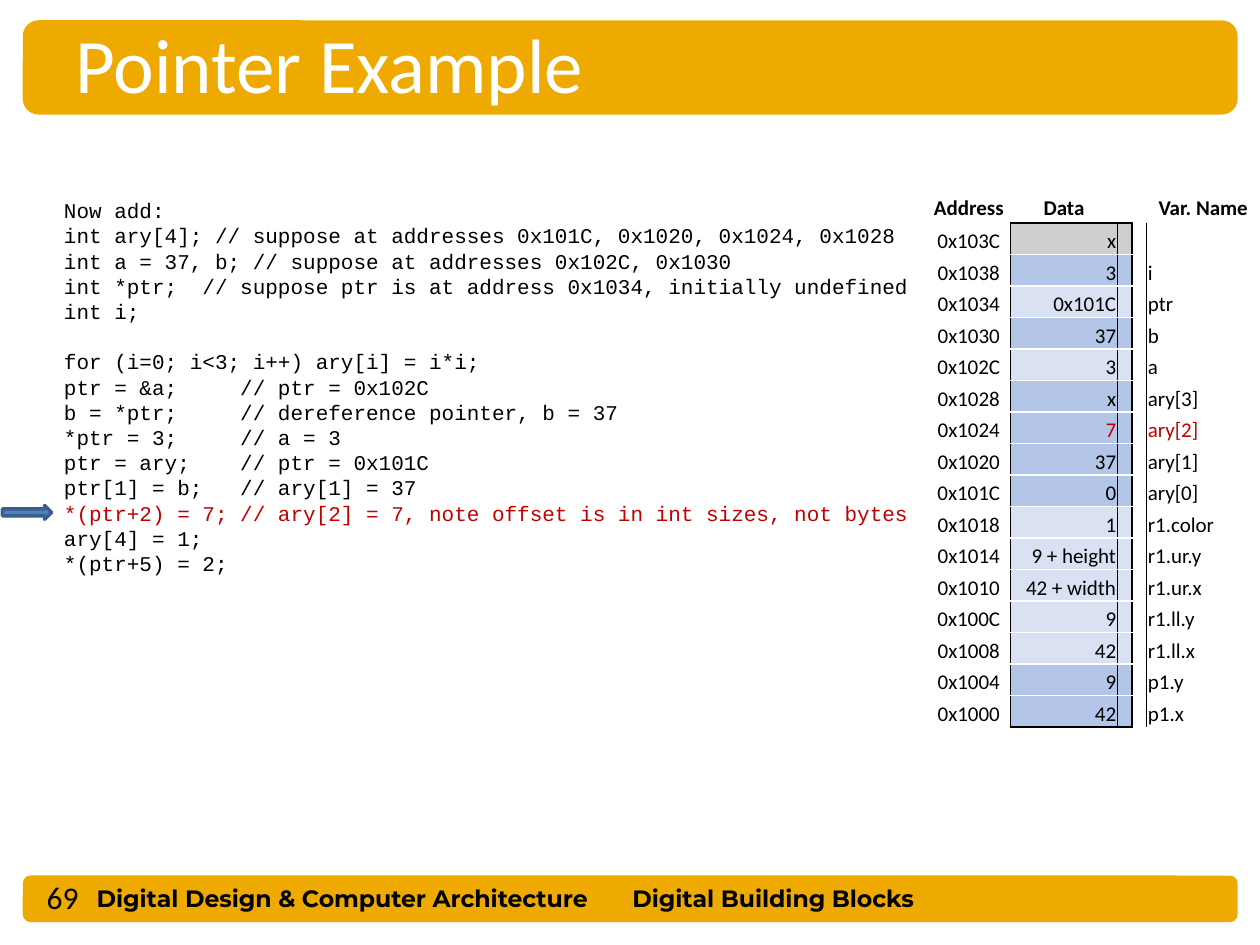
"""Builds the pointer example slide with its code listing and memory map."""
from dataclasses import dataclass

from lxml import etree
from pptx import Presentation
from pptx.dml.color import RGBColor
from pptx.enum.shapes import MSO_SHAPE
from pptx.enum.text import MSO_ANCHOR, PP_ALIGN
from pptx.oxml.ns import qn
from pptx.util import Cm, Pt

ROUNDED = MSO_SHAPE.ROUNDED_RECTANGLE
ARROW = MSO_SHAPE.RIGHT_ARROW
MIDDLE, BOTTOM = MSO_ANCHOR.MIDDLE, MSO_ANCHOR.BOTTOM
LEFT, CENTER, RIGHT = PP_ALIGN.LEFT, PP_ALIGN.CENTER, PP_ALIGN.RIGHT

BLACK, WHITE, RED, GOLD = "000000", "FFFFFF", "C00000", "EEAA00"
GREY, BLUE, PALE = "D0CECE", "B4C6E7", "D9E1F2"
NO_STYLE = "{2D5ABB26-0587-4C30-8999-92F81FD0307C}"
LINE_PITCH = Pt(14.4)
TOP_ADDRESS, WORD_BYTES = 0x103C, 4
COLUMN_WIDTHS = (1.68, 2.16, 0.29, 0.29, 2.29)
ROW_HEIGHT = 0.635


@dataclass(frozen=True)
class Box:
    left: float
    top: float
    width: float
    height: float

    def lengths(self) -> tuple:
        return Cm(self.left), Cm(self.top), Cm(self.width), Cm(self.height)


@dataclass(frozen=True)
class Label:
    text: str
    box: Box
    size: float
    face: str = "Calibri"
    color: str = BLACK
    bold: bool = False


@dataclass(frozen=True)
class CodeLine:
    text: str
    color: str = BLACK
    gap_before: bool = False


@dataclass(frozen=True)
class Word:
    value: str
    variable: str
    fill: str
    color: str = BLACK


BARS = (Box(0.46, 17.65, 24.49, 0.94), Box(0.46, 0.41, 24.49, 1.9))
LABELS = (
    Label("Digital Design & Computer Architecture", Box(1.7, 17.7, 11.28, 0.84),
          13.5, "Montserrat", bold=True),
    Label("Digital Building Blocks", Box(12.5, 17.7, 7.47, 0.84),
          13.5, "Montserrat", bold=True),
    Label("Pointer Example", Box(1.27, 0.2, 22.02, 2.13), 44, color=WHITE),
    Label("69", Box(0.69, 17.58, 2.08, 0.99), 18),
)
CODE_BOX = Box(1.04, 3.86, 18.26, 7.95)
CODE = (
    CodeLine("Now add:"),
    CodeLine("int ary[4]; // suppose at addresses 0x101C, 0x1020, 0x1024, 0x1028"),
    CodeLine("int a = 37, b; // suppose at addresses 0x102C, 0x1030"),
    CodeLine("int *ptr;  // suppose ptr is at address 0x1034, initially undefined"),
    CodeLine("int i;"),
    CodeLine("for (i=0; i<3; i++) ary[i] = i*i;", gap_before=True),
    CodeLine("ptr = &a;     // ptr = 0x102C"),
    CodeLine("b = *ptr;     // dereference pointer, b = 37"),
    CodeLine("*ptr = 3;     // a = 3"),
    CodeLine("ptr = ary;    // ptr = 0x101C"),
    CodeLine("ptr[1] = b;   // ary[1] = 37"),
    CodeLine("*(ptr+2) = 7; // ary[2] = 7, note offset is in int sizes, not bytes", RED),
    CodeLine("ary[4] = 1;"),
    CodeLine("*(ptr+5) = 2;"),
)
MEMORY = (
    Word("x", "", GREY),
    Word("3", "i", BLUE),
    Word("0x101C", "ptr", PALE),
    Word("37", "b", BLUE),
    Word("3", "a", PALE),
    Word("x", "ary[3]", BLUE),
    Word("7", "ary[2]", BLUE, RED),
    Word("37", "ary[1]", BLUE),
    Word("0", "ary[0]", BLUE),
    Word("1", "r1.color", PALE),
    Word("9 + height", "r1.ur.y", PALE),
    Word("42 + width", "r1.ur.x", PALE),
    Word("9", "r1.ll.y", PALE),
    Word("42", "r1.ll.x", PALE),
    Word("9", "p1.y", BLUE),
    Word("42", "p1.x", BLUE),
)


def rgb(color: str) -> RGBColor:
    return RGBColor.from_string(color)


def style_font(paragraph, size: float, face: str, color: str, bold: bool = False) -> None:
    font = paragraph.font
    font.size, font.name, font.bold = Pt(size), face, bold
    font.color.rgb = rgb(color)


def draw_shape(slide, kind, box: Box, fill: str, outline: str = ""):
    shape = slide.shapes.add_shape(kind, *box.lengths())
    shape.shadow.inherit = False
    shape.fill.solid()
    shape.fill.fore_color.rgb = rgb(fill)
    if outline:
        shape.line.color.rgb = rgb(outline)
        shape.line.width = Pt(2)
    else:
        shape.line.fill.background()


def draw_label(slide, label: Label) -> None:
    frame = slide.shapes.add_textbox(*label.box.lengths()).text_frame
    frame.word_wrap = True
    paragraph = frame.paragraphs[0]
    paragraph.text = label.text
    style_font(paragraph, label.size, label.face, label.color, label.bold)


def draw_code(slide) -> None:
    frame = slide.shapes.add_textbox(*CODE_BOX.lengths()).text_frame
    frame.word_wrap = True
    for index, line in enumerate(CODE):
        paragraph = frame.add_paragraph() if index else frame.paragraphs[0]
        paragraph.text = line.text
        paragraph.line_spacing = LINE_PITCH
        if line.gap_before:
            paragraph.space_before = LINE_PITCH
        style_font(paragraph, 12, "Courier New", line.color)


def fill_cell(cell, text: str = "", align=LEFT, color: str = BLACK, bold: bool = False,
              anchor=BOTTOM, fill: str = "", **borders: str) -> None:
    cell.margin_left = cell.margin_right = cell.margin_top = Cm(0.03)
    cell.margin_bottom = 0
    cell.vertical_anchor = anchor
    paragraph = cell.text_frame.paragraphs[0]
    paragraph.text = text
    paragraph.alignment = align
    style_font(paragraph, 12, "Calibri", color, bold)
    if not text:
        etree.SubElement(paragraph._p, qn("a:endParaRPr"), sz="1200")
    properties = cell._tc.get_or_add_tcPr()
    for side in "LRTB":
        if side in borders:
            edge = etree.SubElement(properties, qn(f"a:ln{side}"), w=str(Pt(1)))
            paint = etree.SubElement(edge, qn("a:solidFill"))
            etree.SubElement(paint, qn("a:srgbClr"), val=borders[side])
    if fill:
        cell.fill.solid()
        cell.fill.fore_color.rgb = rgb(fill)
    else:
        cell.fill.background()


def draw_memory(slide) -> None:
    row_count = len(MEMORY) + 1
    box = Box(18.69, 3.86, sum(COLUMN_WIDTHS), ROW_HEIGHT * row_count)
    table = slide.shapes.add_table(row_count, len(COLUMN_WIDTHS), *box.lengths()).table
    table.first_row = table.horz_banding = False
    table._tbl.tblPr.find(qn("a:tableStyleId")).text = NO_STYLE
    for column, width in zip(table.columns, COLUMN_WIDTHS):
        column.width = Cm(width)
    for row in table.rows:
        row.height = Cm(ROW_HEIGHT)

    headings = ("Address", "Data", "", "", "Var. Name")
    for index, heading in enumerate(headings):
        borders = {"B": BLACK} if index in (1, 2) else {}
        fill_cell(table.cell(0, index), heading, CENTER, bold=True, anchor=MIDDLE, **borders)

    for index, word in enumerate(MEMORY):
        address, data, pad, gap, variable = table.rows[index + 1].cells
        above = WHITE if index else BLACK
        below = BLACK if word is MEMORY[-1] else WHITE
        fill_cell(address, f"0x{TOP_ADDRESS - WORD_BYTES * index:04X}", CENTER, R=BLACK)
        fill_cell(data, word.value, RIGHT, word.color, fill=word.fill,
                  L=BLACK, T=above, B=below)
        fill_cell(pad, fill=word.fill, R=BLACK, T=above, B=below)
        fill_cell(gap, L=BLACK)
        fill_cell(variable, word.variable, color=word.color)


def main() -> None:
    deck = Presentation()
    deck.slide_width, deck.slide_height = Cm(25.4), Cm(19.05)
    slide = deck.slides.add_slide(deck.slide_layouts[6])
    for bar in BARS:
        draw_shape(slide, ROUNDED, bar, GOLD)
    for label in LABELS:
        draw_label(slide, label)
    draw_code(slide)
    draw_shape(slide, ARROW, Box(0.05, 10.19, 0.99, 0.28), "4F81BD", "3A5F8C")
    draw_memory(slide)
    deck.save("out.pptx")


if __name__ == "__main__":
    main()
